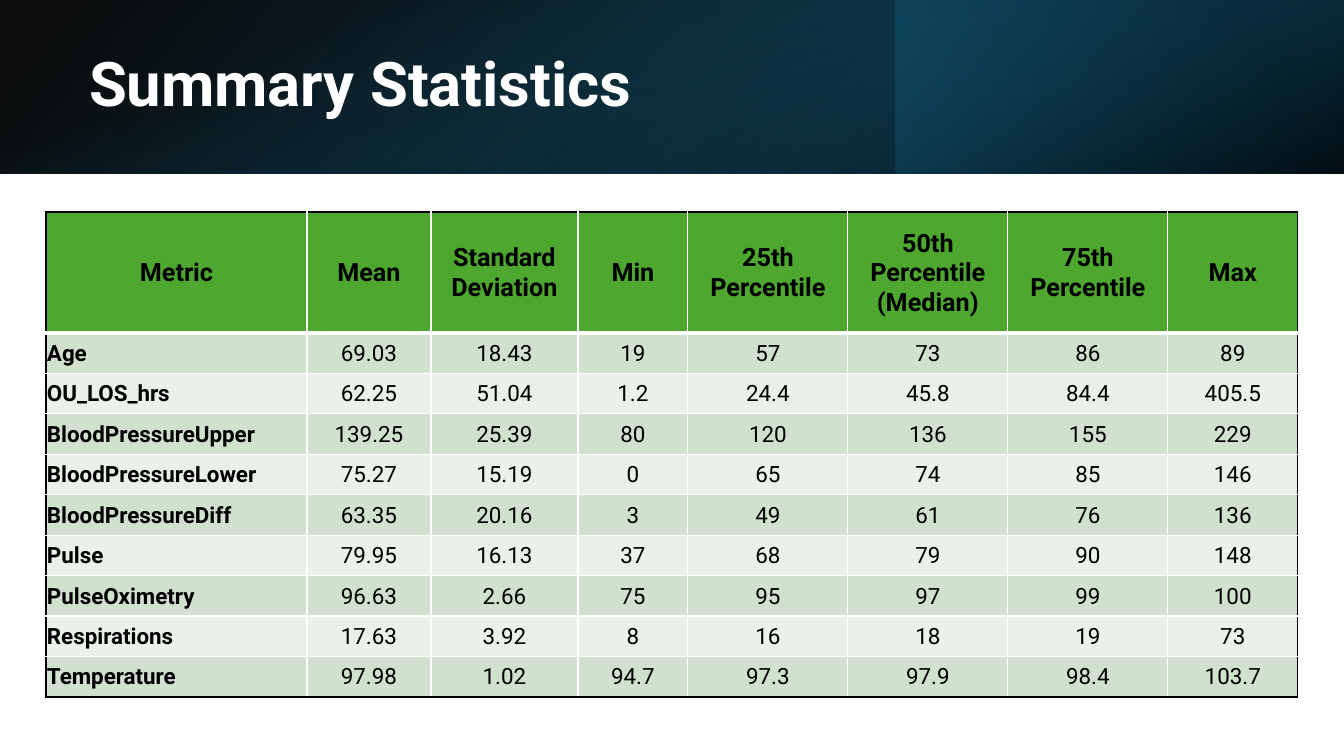
from lxml import etree
from pptx import Presentation
from pptx.dml.color import RGBColor
from pptx.enum.shapes import MSO_SHAPE
from pptx.enum.text import MSO_ANCHOR, MSO_AUTO_SIZE, PP_ALIGN
from pptx.oxml.ns import qn
from pptx.util import Emu, Pt

RECTANGLE = MSO_SHAPE.RECTANGLE
MIDDLE = MSO_ANCHOR.MIDDLE
NO_AUTOFIT = MSO_AUTO_SIZE.NONE
LEFT, CENTER = PP_ALIGN.LEFT, PP_ALIGN.CENTER

BLACK = RGBColor(0x00, 0x00, 0x00)
WHITE = RGBColor(0xFF, 0xFF, 0xFF)
DEEP_BLUE = RGBColor(0x10, 0x48, 0x62)
NIGHT_BLUE = RGBColor(0x0B, 0x30, 0x41)
TEAL_BLUE = RGBColor(0x15, 0x60, 0x82)
HEADER_GREEN = RGBColor(0x4E, 0xA7, 0x2E)
BAND_DARK = RGBColor(0xD0, 0xE1, 0xCD)
BAND_LIGHT = RGBColor(0xE9, 0xF1, 0xE8)

SLIDE_WIDTH, SLIDE_HEIGHT = 1344, 756
BANNER_HEIGHT = 174
TITLE_ONLY_LAYOUT = 5

HEADER_HEIGHT = 121
COLUMN_WIDTHS = [261, 124, 147, 110, 160, 160, 160, 130]
STATISTICS = [
    ["Metric", "Mean", "Standard Deviation", "Min", "25th Percentile",
     "50th Percentile (Median)", "75th Percentile", "Max"],
    ["Age", "69.03", "18.43", "19", "57", "73", "86", "89"],
    ["OU_LOS_hrs", "62.25", "51.04", "1.2", "24.4", "45.8", "84.4", "405.5"],
    ["BloodPressureUpper", "139.25", "25.39", "80", "120", "136", "155", "229"],
    ["BloodPressureLower", "75.27", "15.19", "0", "65", "74", "85", "146"],
    ["BloodPressureDiff", "63.35", "20.16", "3", "49", "61", "76", "136"],
    ["Pulse", "79.95", "16.13", "37", "68", "79", "90", "148"],
    ["PulseOximetry", "96.63", "2.66", "75", "95", "97", "99", "100"],
    ["Respirations", "17.63", "3.92", "8", "16", "18", "19", "73"],
    ["Temperature", "97.98", "1.02", "94.7", "97.3", "97.9", "98.4", "103.7"],
]


def px(length):
    """Turn pixels (100.8 to the inch) into EMU."""
    return Emu(round(length * 914400 / 100.8))


class SlideBuilder:
    def __init__(self, slide, font_name):
        self.slide = slide
        self.font_name = font_name

    def format_text(self, paragraph, size, color, bold, alignment):
        paragraph.alignment = alignment
        for run in paragraph.runs:
            run.font.name = self.font_name
            run.font.size = Pt(size)
            run.font.bold = bold
            run.font.color.rgb = color

    def gradient_panel(self, box, stops, angle, rotation=0, flipped=False):
        """Stops are (position %, colour, opacity %); the angle runs clockwise."""
        panel = self.slide.shapes.add_shape(RECTANGLE, *map(px, box))
        panel.shadow.inherit = False
        panel.rotation = rotation
        properties = panel.element.spPr
        if flipped:
            properties.get_or_add_xfrm().set("flipH", "1")
        panel.fill.gradient()
        panel.fill.gradient_angle = 360 - angle
        for gradient_stop, (position, color, _) in zip(panel.fill.gradient_stops, stops):
            gradient_stop.position = position / 100
            gradient_stop.color.rgb = color
        for color_element, (_, _, opacity) in zip(properties.iter(qn("a:srgbClr")), stops):
            etree.SubElement(color_element, qn("a:alpha"), val=str(opacity * 1000))
        panel.line.fill.background()

    def title(self, text, box):
        title = self.slide.shapes.title
        title.left, title.top, title.width, title.height = map(px, box)
        self.slide.shapes.element.append(title.element)  # bring in front of the banner
        frame = title.text_frame
        frame.text = text
        frame.word_wrap = True
        frame.auto_size = NO_AUTOFIT
        frame.vertical_anchor = MIDDLE
        paragraph = frame.paragraphs[0]
        paragraph.line_spacing = 0.9
        self.format_text(paragraph, 44, WHITE, True, LEFT)

    def cell_borders(self, cell, borders):
        """Borders are (side, colour, points), in the order L, R, T, B."""
        properties = cell._tc.get_or_add_tcPr()
        for side, color, points in borders:
            line = etree.SubElement(properties, qn(f"a:ln{side}"), w=str(Pt(points)))
            fill = etree.SubElement(line, qn("a:solidFill"))
            etree.SubElement(fill, qn("a:srgbClr"), val=str(color))

    def table(self, rows, box, column_widths, header_height):
        last_row, last_column = len(rows) - 1, len(column_widths) - 1
        table = self.slide.shapes.add_table(
            len(rows), len(column_widths), *map(px, box)).table
        table.horz_banding = False
        for column, width in zip(table.columns, column_widths):
            column.width = px(width)
        body_height = px((box[3] - header_height) / last_row)
        for row_index, values in enumerate(rows):
            is_header = row_index == 0
            table.rows[row_index].height = px(header_height) if is_header else body_height
            for column_index, value in enumerate(values):
                is_label = column_index == 0
                cell = table.cell(row_index, column_index)
                self.cell_borders(cell, [
                    ("L", BLACK if is_label else WHITE, 1),
                    ("R", BLACK if column_index == last_column else WHITE, 1),
                    ("T", BLACK if is_header else WHITE, 3 if row_index == 1 else 1),
                    ("B", BLACK if row_index == last_row else WHITE, 3 if is_header else 1),
                ])
                cell.fill.solid()
                band = BAND_DARK if row_index % 2 else BAND_LIGHT
                cell.fill.fore_color.rgb = HEADER_GREEN if is_header else band
                cell.vertical_anchor = MIDDLE
                cell.margin_left = cell.margin_right = cell.margin_top = px(1)
                cell.margin_bottom = 0
                cell.text_frame.text = value
                self.format_text(
                    cell.text_frame.paragraphs[0], 18 if is_header else 16, BLACK,
                    is_header or is_label, LEFT if is_label and not is_header else CENTER)


def main():
    presentation = Presentation()
    presentation.slide_width = px(SLIDE_WIDTH)
    presentation.slide_height = px(SLIDE_HEIGHT)
    slide = presentation.slides.add_slide(presentation.slide_layouts[TITLE_ONLY_LAYOUT])
    builder = SlideBuilder(slide, "Roboto")

    builder.gradient_panel((0, 0, SLIDE_WIDTH, BANNER_HEIGHT),
                           [(0, BLACK, 96), (100, DEEP_BLUE, 100)], 140, flipped=True)
    builder.gradient_panel((896, 0, 448, BANNER_HEIGHT),
                           [(19, NIGHT_BLUE, 68), (100, TEAL_BLUE, 79)], 320, rotation=180)
    turn_offset = (SLIDE_WIDTH - BANNER_HEIGHT) // 2
    builder.gradient_panel((turn_offset, -turn_offset, BANNER_HEIGHT, SLIDE_WIDTH),
                           [(23, TEAL_BLUE, 0), (99, BLACK, 74)], 340, rotation=90)

    builder.title("Summary Statistics", (79, 38, 1107, 97))
    builder.table(STATISTICS, (46, 212, sum(COLUMN_WIDTHS), 485),
                  COLUMN_WIDTHS, HEADER_HEIGHT)
    presentation.save("out.pptx")


if __name__ == "__main__":
    main()
